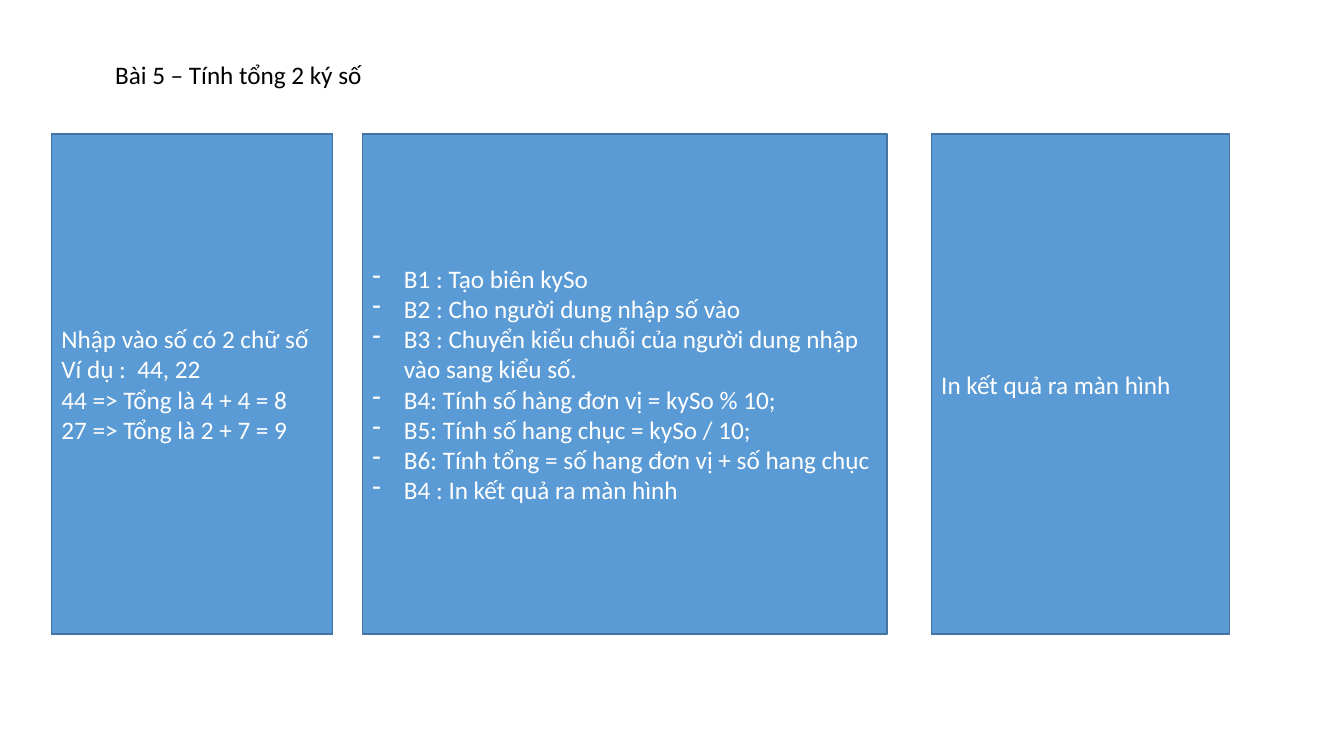
import pptx
import pptx.dml.color
import pptx.enum.shapes
import pptx.enum.text
import pptx.oxml.ns
import pptx.util
from lxml import etree

Pt = pptx.util.Pt
ANCHOR = pptx.enum.text.MSO_ANCHOR

PANEL_TOP, PANEL_HEIGHT = 95.75, 357.1
BULLET_INDENT = 22.5


def color(hex_code):
    return pptx.dml.color.RGBColor.from_string(hex_code)


def write(shape, lines, ink="FFFFFF", size=18, font="Calibri",
          anchor=ANCHOR.MIDDLE, bullet=None):
    frame = shape.text_frame
    frame.word_wrap = True
    frame.auto_size = pptx.enum.text.MSO_AUTO_SIZE.NONE
    frame.vertical_anchor = anchor
    for number, line in enumerate(lines):
        para = frame.add_paragraph() if number else frame.paragraphs[0]
        para.alignment = pptx.enum.text.PP_ALIGN.LEFT
        span = para.add_run()
        span.text = line
        span.font.size = Pt(size)
        span.font.name = font
        span.font.color.rgb = color(ink)
        if bullet:
            properties = para._p.get_or_add_pPr()
            properties.set("marL", str(Pt(BULLET_INDENT)))
            properties.set("indent", str(-Pt(BULLET_INDENT)))
            mark = etree.SubElement(properties, pptx.oxml.ns.qn("a:buChar"))
            mark.set("char", bullet)


# Deck and page
deck = pptx.Presentation()
deck.slide_width, deck.slide_height = Pt(960), Pt(540)
page = deck.slides.add_slide(deck.slide_layouts.get_by_name("Title Only"))

# Title
title = page.shapes.title
title.left, title.top, title.width, title.height = Pt(75), Pt(39), Pt(267), Pt(29)
write(title, ["Bài 5 – Tính tổng 2 ký số"], ink="000000", anchor=ANCHOR.TOP)

# Input, processing and output panels: left, width, bullet, lines
panels = [
    (36.75, 201, None, [
        "Nhập vào số có 2 chữ số ",
        "Ví dụ :  44, 22",
        "44 => Tổng là 4 + 4 = 8",
        "27 => Tổng là 2 + 7 = 9",
    ]),
    (259, 374.5, "-", [
        "B1 : Tạo biên kySo",
        "B2 : Cho người dung nhập số vào",
        "B3 : Chuyển kiểu chuỗi của người dung nhập vào sang kiểu số.",
        "B4: Tính số hàng đơn vị = kySo % 10;",
        "B5: Tính số hang chục = kySo / 10;",
        "B6: Tính tổng = số hang đơn vị + số hang chục",
        "B4 : In kết quả ra màn hình",
    ]),
    (665.25, 213, None, ["In kết quả ra màn hình"]),
]
for left, width, bullet, lines in panels:
    box = page.shapes.add_shape(
        pptx.enum.shapes.MSO_SHAPE.RECTANGLE,
        Pt(left), Pt(PANEL_TOP), Pt(width), Pt(PANEL_HEIGHT))
    box.shadow.inherit = False
    box.fill.solid()
    box.fill.fore_color.rgb = color("5B9BD5")
    box.line.color.rgb = color("43739E")
    box.line.width = Pt(1)
    write(box, lines, bullet=bullet)

deck.save("out.pptx")
